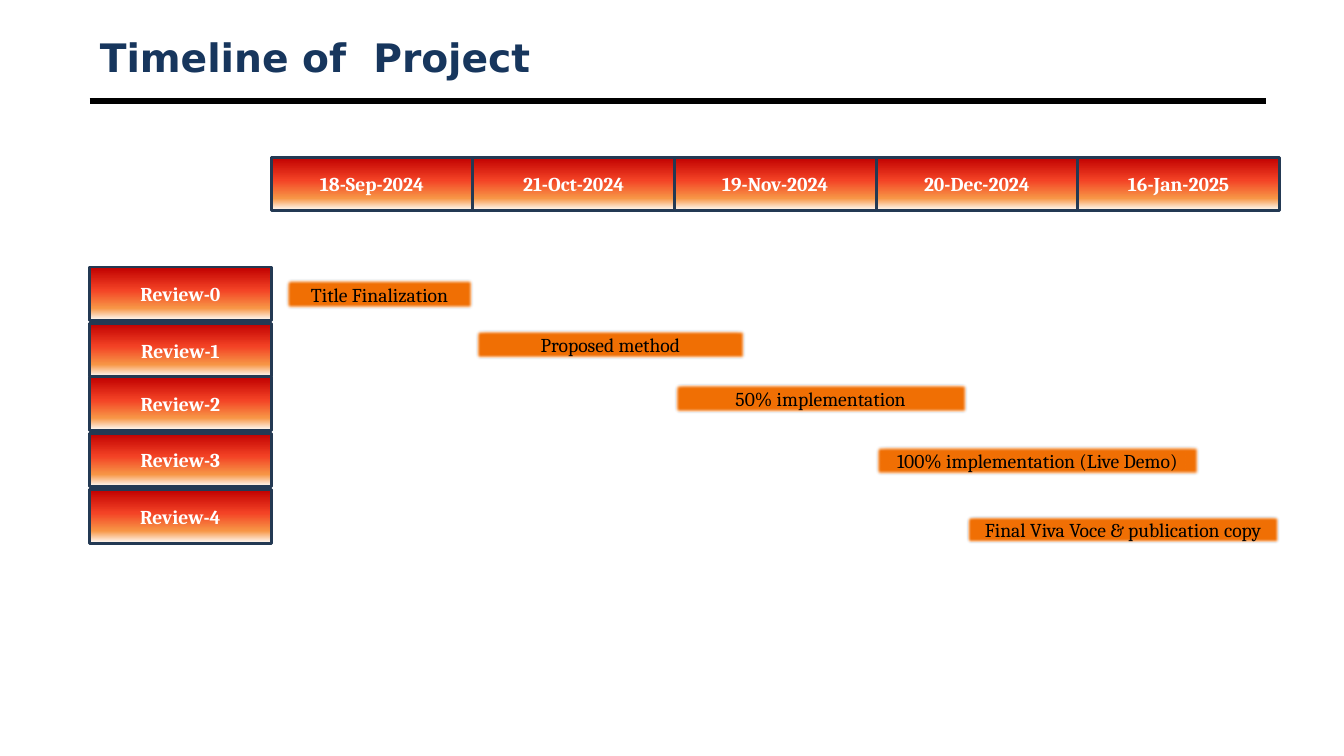
from lxml.etree import SubElement
from pptx import Presentation
from pptx.dml.color import RGBColor
from pptx.enum.shapes import MSO_CONNECTOR, MSO_SHAPE
from pptx.enum.text import MSO_ANCHOR, PP_ALIGN
from pptx.oxml.ns import qn
from pptx.util import Inches, Pt

DATES = ["18-Sep-2024", "21-Oct-2024", "19-Nov-2024", "20-Dec-2024", "16-Jan-2025"]
REVIEW_TOPS = [2.65, 3.21, 3.74, 4.3, 4.86]
TASKS = [
    ("Title Finalization", 2.84, 2.77, 1.85, 0.3),
    ("Proposed method", 4.72, 3.27, 2.67, 0.29),
    ("50% implementation", 6.69, 3.81, 2.9, 0.29),
    ("100% implementation (Live Demo)", 8.69, 4.42, 3.2, 0.29),
    ("Final Viva Voce & publication copy", 9.59, 5.12, 3.1, 0.27),
]
LEFT_EDGE = 0.89
LABEL_WIDTH = 1.8
DATE_WIDTH = 2
CELL_HEIGHT = 0.53


def color(hex_text):
    """Turn a hex string into a colour."""
    return RGBColor.from_string(hex_text)


class TimelinePage:
    """Holds the style and the page of the project timeline."""

    title_font = "DejaVu Sans"
    body_font = "Cambria"
    navy = "17365D"
    border = "233953"
    bar_fill = "F17005"
    heat = [(0, "C00000"), (43, "F34225"), (77, "F79646"), (100, "FFFFFF")]

    def __init__(self, deck):
        """Add a title-only page to the deck."""
        self.page = deck.slides.add_slide(deck.slide_layouts[5])

    def set_text(self, shape, text, font, size, hex_text, bold, align):
        """Put one formatted line of text in a shape."""
        frame = shape.text_frame
        frame.text = text
        frame.word_wrap = True
        frame.vertical_anchor = MSO_ANCHOR.MIDDLE
        para = frame.paragraphs[0]
        para.alignment = align
        for span in para.runs:
            span.font.name = font
            span.font.size = Pt(size)
            span.font.bold = bold
            span.font.color.rgb = color(hex_text)

    def title(self, text, left, top, width, height):
        """Place and format the title placeholder."""
        box = self.page.shapes.title
        box.left, box.top = Inches(left), Inches(top)
        box.width, box.height = Inches(width), Inches(height)
        self.set_text(box, text, self.title_font, 28, self.navy, True, PP_ALIGN.LEFT)

    def rule(self, left, right, top):
        """Draw the thick black line under the title."""
        line = self.page.shapes.add_connector(
            MSO_CONNECTOR.STRAIGHT, Inches(left), Inches(top), Inches(right), Inches(top))
        line.line.color.rgb = color("000000")
        line.line.width = Pt(4.5)
        SubElement(line._element.spPr, qn("a:effectLst"))

    def box(self, text, left, top, width, height, text_color, bold):
        """Add a bordered rectangle with centred text."""
        box = self.page.shapes.add_shape(
            MSO_SHAPE.RECTANGLE, Inches(left), Inches(top), Inches(width), Inches(height))
        box.shadow.inherit = False
        box.line.color.rgb = color(self.border)
        box.line.width = Pt(2)
        self.set_text(box, text, self.body_font, 14, text_color, bold, PP_ALIGN.CENTER)
        return box

    def header(self, text, left, top, width):
        """Add a gradient cell for a date or a review."""
        cell = self.box(text, left, top, width, CELL_HEIGHT, "FFFFFF", True)
        cell.fill.gradient()
        cell.fill.gradient_angle = 270
        stops = cell._element.spPr.find(".//" + qn("a:gsLst"))
        stops.clear()
        for percent, hex_text in self.heat:
            stop = SubElement(stops, qn("a:gs"), pos=str(percent * 1000))
            SubElement(stop, qn("a:srgbClr"), val=hex_text)

    def task(self, text, left, top, width, height):
        """Add a soft-edged task bar."""
        bar = self.box(text, left, top, width, height, "000000", False)
        bar.fill.solid()
        bar.fill.fore_color.rgb = color(self.bar_fill)
        effects = bar._element.spPr.find(qn("a:effectLst"))
        SubElement(effects, qn("a:softEdge"), rad=str(Pt(2.5)))


def main():
    """Build and save the timeline."""
    deck = Presentation()
    deck.slide_width, deck.slide_height = Inches(13.33), Inches(7.5)
    timeline = TimelinePage(deck)
    timeline.rule(LEFT_EDGE, 12.56, 1)
    timeline.title("Timeline of  Project", LEFT_EDGE, 0.3, 11.67, CELL_HEIGHT)
    for number, top in enumerate(REVIEW_TOPS):
        timeline.header(f"Review-{number}", LEFT_EDGE, top, LABEL_WIDTH)
    for task in TASKS:
        timeline.task(*task)
    for column, date in enumerate(DATES):
        left = LEFT_EDGE + LABEL_WIDTH + column * DATE_WIDTH
        timeline.header(date, left, 1.56, DATE_WIDTH)
    deck.save("out.pptx")


if __name__ == "__main__":
    main()
